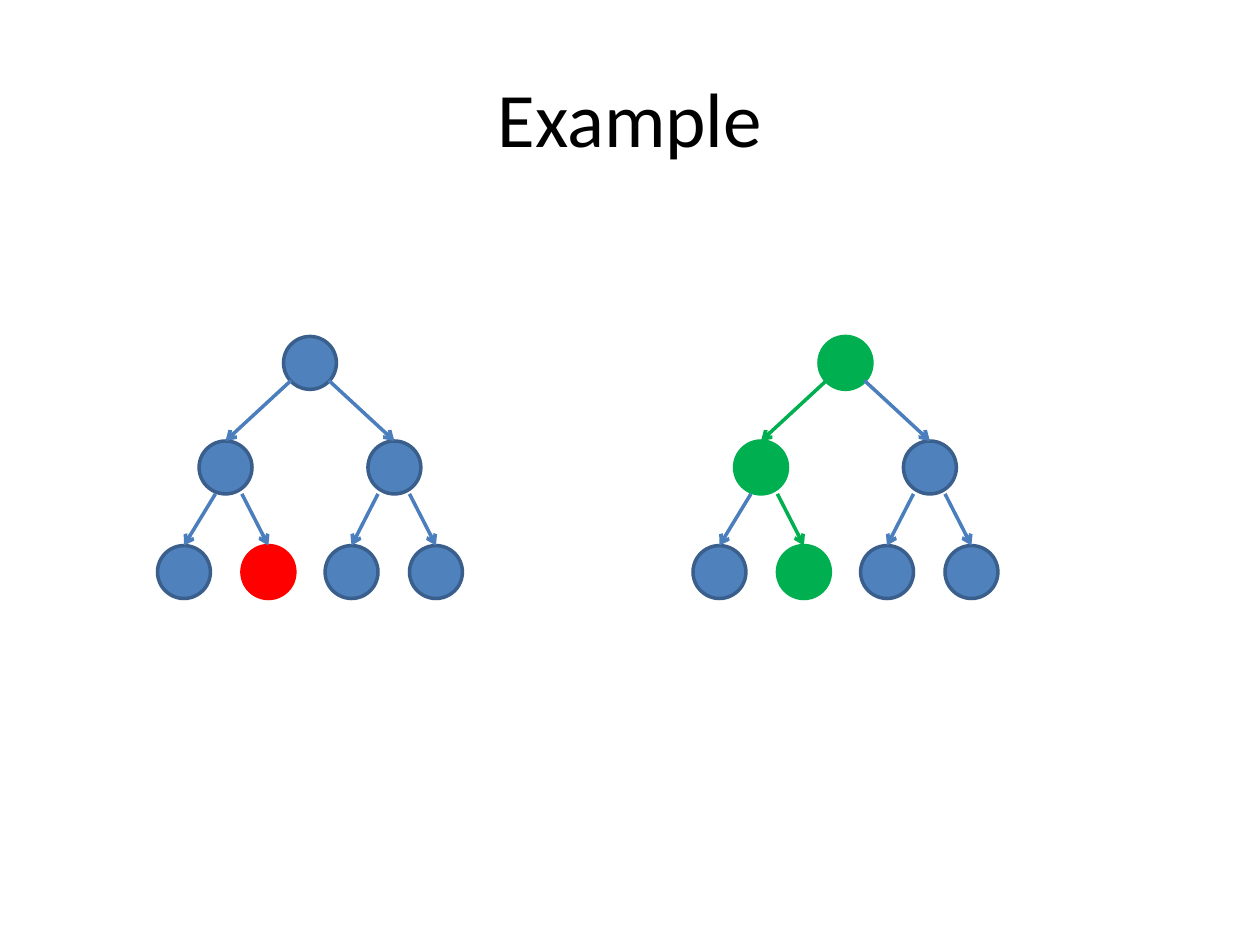
"""Build a slide with two binary trees, one with a marked leaf and one with its path from the root."""
from lxml import etree
from pptx import Presentation
from pptx.dml.color import RGBColor
from pptx.enum.shapes import MSO_CONNECTOR as CONN, MSO_SHAPE as SHAPE
from pptx.enum.text import MSO_ANCHOR as ANCHOR, PP_ALIGN as ALIGN
from pptx.oxml.ns import qn
from pptx.util import Inches, Pt


def paint(color_format, color):
    color_format.rgb = RGBColor.from_string(color)


BLUE, OUTLINE, ARROW = "4F81BD", "3A5F8C", "4B7EBC"
RED, GREEN = "FF0000", "00B050"
SIZE = 0.42
NODES = [(1, 2.67), (0.33, 3.5), (1.67, 3.5),
         (0, 4.33), (0.67, 4.33), (1.33, 4.33), (2, 4.33)]
EDGES = [(1, 1.06, 3.02), (2, 1.36, 3.02), (3, 0.46, 3.92),
         (4, 0.67, 3.92), (5, 1.75, 3.92), (6, 2, 3.92)]
TREES = [
    (1.25, {4: RED}, {}),
    (5.5, {0: GREEN, 1: GREEN, 4: GREEN}, {1: GREEN, 4: GREEN}),
]

prs = Presentation()
prs.slide_width, prs.slide_height = Inches(10), Inches(7.5)
s = prs.slides.add_slide(prs.slide_layouts[5])

title = s.shapes.title
title.left, title.top = Inches(0.5), Inches(0.3)
title.width, title.height = Inches(9), Inches(1.25)
tf = title.text_frame
tf.text = "Example"
tf.vertical_anchor = ANCHOR.MIDDLE
p = tf.paragraphs[0]
p.alignment = ALIGN.CENTER
r = p.runs[0]
r.font.name, r.font.size = "Calibri", Pt(44)
paint(r.font.color, "000000")

for left, node_marks, edge_marks in TREES:
    for i, (x, y) in enumerate(NODES):
        sp = s.shapes.add_shape(SHAPE.OVAL, Inches(left + x), Inches(y),
                                Inches(SIZE), Inches(SIZE))
        sp.shadow.inherit = False
        sp.fill.solid()
        paint(sp.fill.fore_color, node_marks.get(i, BLUE))
        paint(sp.line.color, node_marks.get(i, OUTLINE))
        sp.line.width = Pt(2)

    for child, x, y in EDGES:
        child_x, child_y = NODES[child]
        cn = s.shapes.add_connector(CONN.STRAIGHT, Inches(left + x), Inches(y),
                                    Inches(left + child_x + SIZE / 2), Inches(child_y))
        paint(cn.line.color, edge_marks.get(child, ARROW))
        cn.line.width = Pt(2)
        sp_pr = cn.element.spPr
        etree.SubElement(sp_pr.find(qn("a:ln")), qn("a:tailEnd"), type="arrow")
        etree.SubElement(sp_pr, qn("a:effectLst"))

prs.save("out.pptx")
